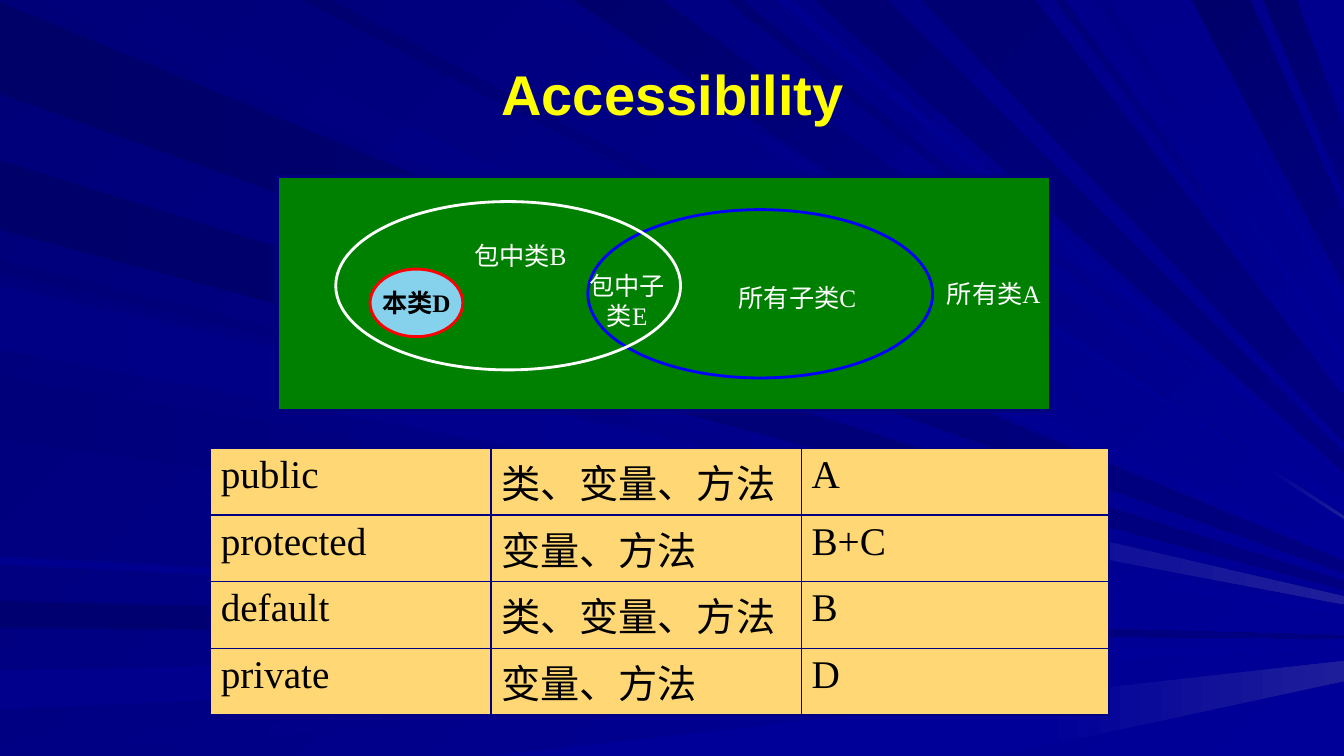
from lxml.etree import SubElement as Sub
from pptx import Presentation
from pptx.dml.color import RGBColor
from pptx.enum.shapes import MSO_SHAPE as Shape
from pptx.enum.text import MSO_ANCHOR as Anchor, PP_ALIGN as Align
from pptx.oxml.ns import qn
from pptx.util import Inches, Pt

WIDE, HIGH = 13.33, 7.5
NAVY, BLUE, FLARE = "000080", "000099", "1E1E9B"
WHITE, BLACK, RED, YELLOW = "FFFFFF", "000000", "FF0000", "FFFF00"
GREEN, SKY, GOLD, PURE = "008000", "86D1EC", "FFD875", "0000FF"


def paint(fill, start, end=None, angle=0):
    """Fill with one colour, or with a gradient whose angle runs clockwise."""
    if end is None:
        fill.solid()
        fill.fore_color.rgb = RGBColor.from_string(start)
        return
    fill.gradient()
    fill.gradient_angle = 360 - angle
    for stop, color in zip(fill.gradient_stops, (start, end)):
        stop.color.rgb = RGBColor.from_string(color)


def write(frame, text, size=18, color=WHITE, font="Times New Roman",
          bold=False, align=Align.CENTER, anchor=Anchor.MIDDLE, wrap=False):
    """Put text into a frame, one paragraph a line, and format it."""
    frame.text = text
    frame.word_wrap = wrap
    frame.vertical_anchor = anchor
    for par in frame.paragraphs:
        par.alignment = align
        for run in par.runs:
            run.font.name, run.font.size, run.font.bold = font, Pt(size), bold
            paint(run.font.fill, color)


prs = Presentation()
prs.slide_width, prs.slide_height = Inches(WIDE), Inches(HIGH)
slide = prs.slides.add_slide(prs.slide_layouts[5])
shapes = slide.shapes
paint(slide.background.fill, "000078", BLUE, 45)

# Background rays: each is a wedge that leaves a stretch of one slide edge,
# aims at a hub beyond the right edge, and is cut off at that right edge.
hub_x, hub_y = 15.2, 6.35
angles = {"left": 0, "top": 45, "bottom": 0}
rays = {  # edge: (from, to, dark colour, light colour)
    "left": [
        (0.02, 0.93, "000069", NAVY), (5.96, 6.23, "000071", NAVY),
        (6.65, 7.04, "00008C", BLUE), (7.35, 7.5, "000085", BLUE),
        (2.58, 2.7, "000076", BLUE), (1.59, 2.28, "00006B", NAVY),
        (2.78, 3.42, "00007E", BLUE), (3.74, 4.37, "00007B", BLUE),
        (5.52, 5.6, "00008E", BLUE), (2.83, 3.47, "000085", BLUE),
    ],
    "top": [
        (0.34, 1.35, "00007B", BLUE), (3, 3.29, "000070", BLUE),
        (5.31, 5.55, "000083", BLUE), (5.68, 6.57, "00006D", BLUE),
        (7.2, 7.36, "000073", BLUE), (7.69, 7.84, "00008E", BLUE),
        (8.07, 8.81, "000073", NAVY), (9.14, 10.27, "000073", NAVY),
        (10.46, 10.56, "000078", BLUE), (10.87, 10.99, "000085", BLUE),
        (11.53, 11.63, "00008A", BLUE), (11.82, 12.4, "00006B", NAVY),
        (12.53, 12.86, "00006D", NAVY),
    ],
    "bottom": [(4.85, 9.9, BLUE, BLUE)],
}
beams = [(edge, *ray, 0) for edge, group in rays.items() for ray in group]

# Flares light up the end of three rays, from x = begin onwards
beams += [
    ("left", 2.83, 3.47, BLUE, FLARE, 8.47),
    ("top", 5.31, 5.55, BLUE, FLARE, 12.6),
    ("bottom", 4.85, 9.9, BLUE, FLARE, 10.3),
]
for edge, first, last, dark, light, begin in beams:
    near, far = [], []
    for place in (first, last):
        x, y = {"left": (0, place), "top": (place, 0), "bottom": (place, HIGH)}[edge]
        slope = (hub_y - y) / (hub_x - x)
        for side, at in ((near, max(x, begin)), (far, WIDE)):
            side.append((Inches(at), Inches(y + slope * (at - x))))
    outline = near + far[::-1]
    path = shapes.build_freeform(*outline[0])
    path.add_line_segments(outline[1:], close=True)
    beam = path.convert_to_shape()
    beam.shadow.inherit = False
    beam.line.fill.background()
    paint(beam.fill, dark, light, angles[edge])

# Title, brought in front of the rays
title = shapes.title
title.left, title.top, title.width, title.height = map(Inches, (0.67, 0.3, 12, 1.25))
write(title.text_frame, "Accessibility", size=40, color=YELLOW, font="Arial",
      bold=True, wrap=True)
shapes._spTree.append(title._element)

# Class sets: kind, box, fill, line, line width, label, label format
oval_w, oval_h = 3.42, 1.67
sets = [
    (Shape.RECTANGLE, (2.75, 1.75, 7.67, 2.33), GREEN, NAVY, 2.5,
     "所有类A", {"align": Align.RIGHT}),
    (Shape.OVAL, (5.83, 2.08, oval_w, oval_h), None, PURE, 2, "", {}),
    (Shape.OVAL, (3.33, 2, oval_w, oval_h), None, WHITE, 2, "", {}),
    (Shape.OVAL, (3.67, 2.67, 0.92, 0.67), SKY, RED, 2,
     "本类D", {"color": BLACK, "bold": True}),
]
for kind, box, fill, line, weight, text, form in sets:
    area = shapes.add_shape(kind, *map(Inches, box))
    area.shadow.inherit = False
    if fill:
        paint(area.fill, fill)
    else:
        area.fill.background()
    paint(area.line.fill, line)
    area.line.width = Pt(weight)
    write(area.text_frame, text, **form)

# Labels of the overlapping sets, placed by their centres
label_w, label_h = 1.6, 0.7
labels = [(5.16, 2.53, "包中类B"), (7.91, 2.95, "所有子类C"), (6.22, 2.98, "包中子\n类E")]
for x, y, text in labels:
    box = (x - label_w / 2, y - label_h / 2, label_w, label_h)
    label = shapes.add_textbox(*map(Inches, box))
    write(label.text_frame, text, wrap=True)

# Access table: modifier, what it applies to, which sets can see it
rows = [
    ("public", "类、变量、方法", "A"),
    ("protected", "变量、方法", "B+C"),
    ("default", "类、变量、方法", "B"),
    ("private", "变量、方法", "D"),
]
cols = (2.78, 3.08, 3.05)
row_h = 0.66
frame = shapes.add_table(len(rows), len(cols), Inches(2.09), Inches(4.45),
                         Inches(sum(cols)), Inches(row_h * len(rows)))
grid = frame.table
grid.first_row = grid.horz_banding = False
for col, width in zip(grid.columns, cols):
    col.width = Inches(width)
for r, row in enumerate(rows):
    for c, text in enumerate(row):
        cell = grid.cell(r, c)
        write(cell.text_frame, text, size=28, color=BLACK, align=Align.LEFT,
              anchor=Anchor.TOP, wrap=True)
        # Lines between columns and under the last row are thicker
        thick = {"L": c > 0, "R": c < len(cols) - 1, "T": False, "B": r == len(rows) - 1}
        props = cell._tc.get_or_add_tcPr()
        for side, heavy in thick.items():
            rule = Sub(props, qn("a:ln" + side), w=str(Pt(1.5 if heavy else 1)))
            Sub(Sub(rule, qn("a:solidFill")), qn("a:srgbClr"), val=NAVY)
        paint(cell.fill, GOLD)

prs.save("out.pptx")
